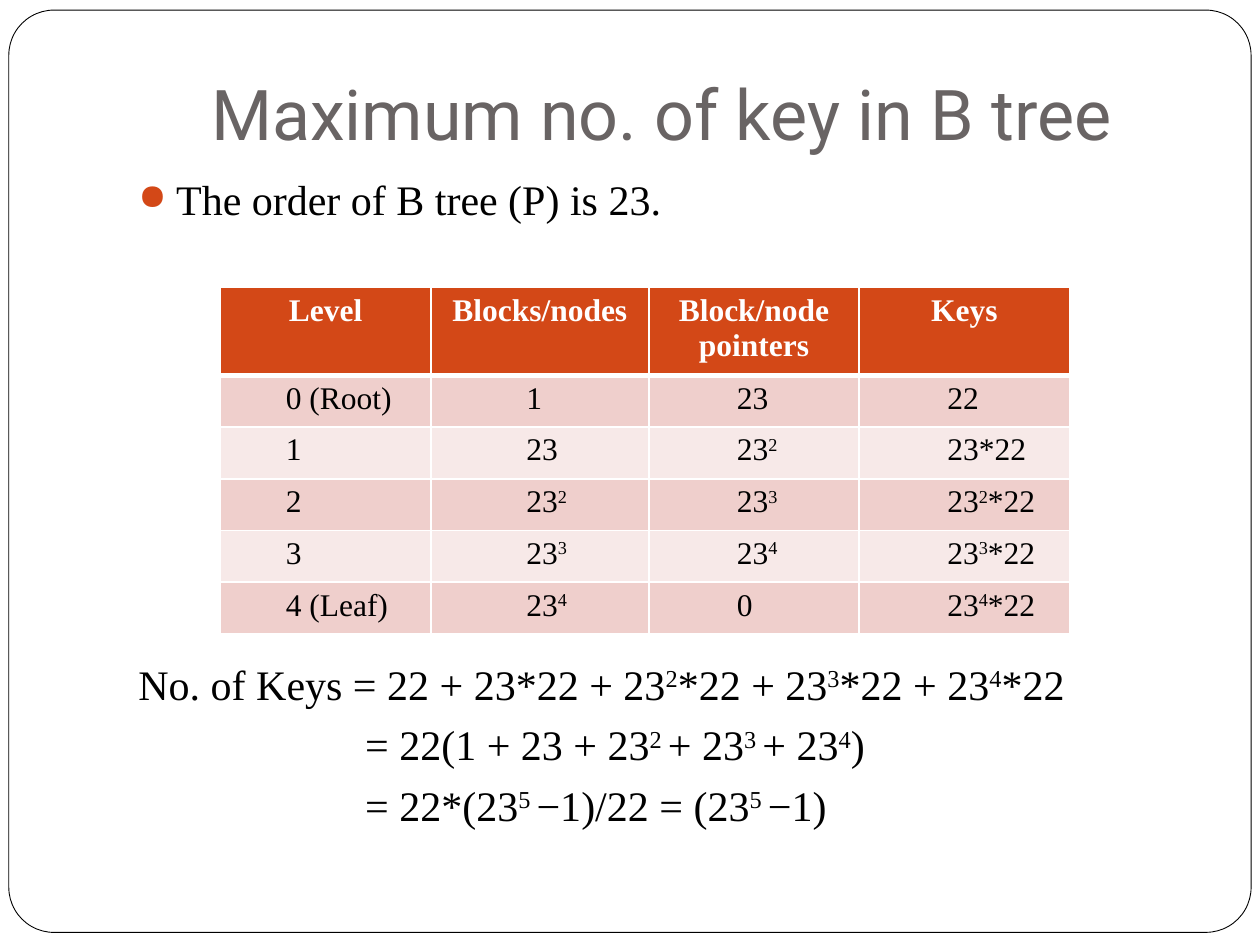
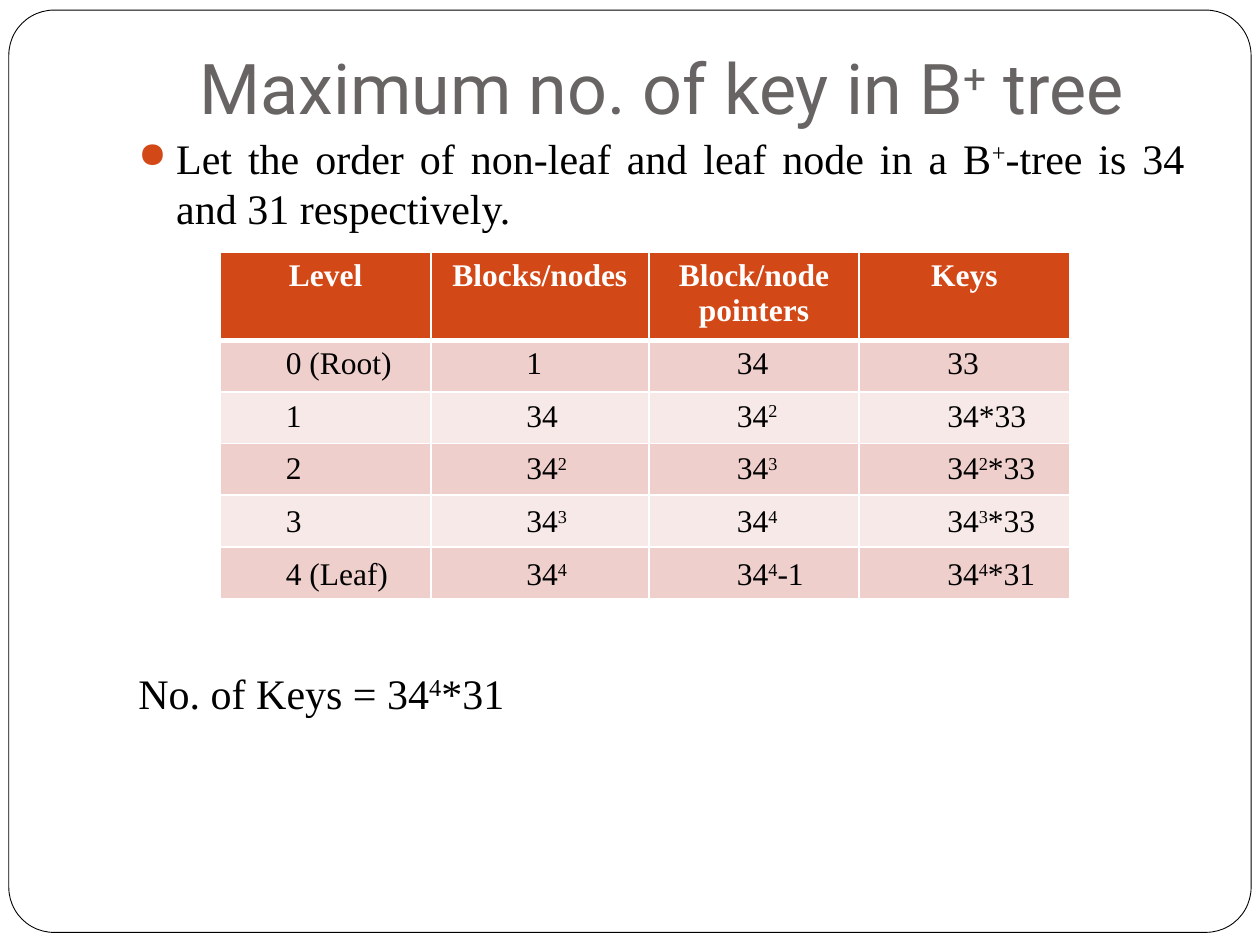
"""Build two slides that work out the largest number of keys in a B tree and a B+ tree."""

from dataclasses import dataclass
from itertools import product

from lxml.etree import SubElement
from pptx import Presentation
from pptx.dml.color import RGBColor
from pptx.enum.shapes import MSO_SHAPE
from pptx.enum.text import MSO_ANCHOR, MSO_AUTO_SIZE, PP_ALIGN
from pptx.oxml.ns import qn
from pptx.util import Inches, Pt

HEADERS = ("Level", "Blocks/nodes", "Block/node pointers", "Keys")

SLIDES = (
    {
        "title": "Maximum no. of key in B tree",
        "title_box": (1, 0.3, 8.5, 1.03),
        "body_box": (1, 1.33, 8.5, 5.92),
        "table_top": 2.28,
        "value_pitch": 0.41,
        "premise": "The order of B tree (P) is 23.",
        "levels": (
            ("0 (Root)", "1", "23", "22"),
            ("1", "23", "23^2", "23*22"),
            ("2", "23^2", "23^3", "23^2^*22"),
            ("3", "23^3", "23^4", "23^3^*22"),
            ("4 (Leaf)", "23^4", "0", "23^4^*22"),
        ),
        "result": "No. of Keys = 22 + 23*22 + 23^2^*22 + 23^3^*22 + 23^4^*22",
        "steps": (
            "= 22(1 + 23 + 23^2 ^+ 23^3 ^+ 23^4^)",
            "= 22*(23^5 ^−1)/22 = (23^5 ^−1)",
        ),
    },
    {
        "title": "Maximum no. of key in B^+^ tree",
        "title_box": (1, 0.25, 8.5, 0.87),
        "body_box": (1, 1, 8.5, 6.25),
        "table_top": 2,
        "value_pitch": 0.42,
        "premise": "Let the order of non-leaf and leaf node in a B^+^-tree is 34 and 31 respectively.",
        "levels": (
            ("0 (Root)", "1", "34", "33"),
            ("1", "34", "34^2", "34*33"),
            ("2", "34^2", "34^3", "34^2^*33"),
            ("3", "34^3", "34^4", "34^3^*33"),
            ("4 (Leaf)", "34^4", "34^4^-1", "34^4^*31"),
        ),
        "result": "No. of Keys = 34^4^*31",
        "steps": (),
    },
)

FRAME_BOX = (0.07, 0.08, 9.86, 7.32)
TABLE_LEFT, TABLE_HEIGHT, ROW_HEIGHT = 1.75, 2.73, 0.41
COLUMN_WIDTHS = (1.67, 1.73, 1.67, 1.67)
VALUE_LEFTS = (2.17, 4.08, 5.75, 7.42)
VALUE_SIZE = (1.25, 0.4)
HEADER_DEPTH = 0.67
HANGING, STEP_INDENT = 0.3, 1.8
LINE_GAP, TABLE_GAP = 5.8, 248


@dataclass(frozen=True)
class Theme:
    """Colours, fonts and type sizes of both slides."""

    title_font: str = "Roboto"
    text_font: str = "Times New Roman"
    title_size: int = 40
    body_size: int = 24
    table_size: int = 18
    title_colour: str = "696464"
    ink: str = "000000"
    paper: str = "FFFFFF"
    accent: str = "D34817"
    bands: tuple = ("EFCFCC", "F7E9E8")


THEME = Theme()


def inches(values):
    """Turn a sequence of numbers into lengths."""
    return [Inches(value) for value in values]


def paint(fill, colour):
    """Give a fill one solid colour."""
    fill.solid()
    fill.fore_color.rgb = RGBColor.from_string(colour)


def write(paragraph, text, size, colour=THEME.ink, font=THEME.text_font, bold=False):
    """Add text run by run, raising every part between carets."""
    for index, part in enumerate(text.split("^")):
        if not part:
            continue
        run = paragraph.add_run()
        run.text = part
        run.font.name, run.font.size, run.font.bold = font, Pt(size), bold
        run.font.color.rgb = RGBColor.from_string(colour)
        if index % 2:
            run._r.get_or_add_rPr().set("baseline", "30000")


def add_frame(slide):
    """Draw the rounded border behind the title."""
    frame = slide.shapes.add_shape(MSO_SHAPE.ROUNDED_RECTANGLE, *inches(FRAME_BOX))
    frame.adjustments[0] = 0.049
    frame.shadow.inherit = False
    paint(frame.fill, THEME.paper)
    paint(frame.line.fill, THEME.ink)
    frame.line.width = Pt(0.5)
    slide.shapes.title.element.addprevious(frame.element)


def set_title(slide, text, box):
    """Place and format the title."""
    title = slide.shapes.title
    title.left, title.top, title.width, title.height = inches(box)
    text_frame = title.text_frame
    text_frame.auto_size = MSO_AUTO_SIZE.NONE
    text_frame.vertical_anchor = MSO_ANCHOR.BOTTOM
    text_frame.margin_bottom = Inches(0.1)
    paragraph = text_frame.paragraphs[0]
    paragraph.alignment = PP_ALIGN.CENTER
    write(paragraph, text, THEME.title_size, THEME.title_colour, THEME.title_font)


def add_text_box(slide, box):
    """Add a wrapping text box and return its text frame."""
    text_frame = slide.shapes.add_textbox(*inches(box)).text_frame
    text_frame.word_wrap = True
    return text_frame


def write_line(paragraph, text, gap, margin, indent):
    """Write one justified body line."""
    paragraph.alignment = PP_ALIGN.JUSTIFY
    paragraph.space_before = Pt(gap)
    properties = paragraph._p.get_or_add_pPr()
    properties.set("marL", str(Inches(margin)))
    properties.set("indent", str(Inches(indent)))
    write(paragraph, text, THEME.body_size)


def add_bullet(paragraph):
    """Put a coloured dot before a paragraph."""
    properties = paragraph._p.get_or_add_pPr()
    colour = SubElement(properties, qn("a:buClr"))
    SubElement(colour, qn("a:srgbClr"), val=THEME.accent)
    SubElement(properties, qn("a:buSzPct"), val="85000")
    SubElement(properties, qn("a:buChar"), char="●")


def add_body(slide, content):
    """Write the premise above the table and the calculation below it."""
    text_frame = add_text_box(slide, content["body_box"])
    premise = text_frame.paragraphs[0]
    write_line(premise, content["premise"], LINE_GAP, HANGING, -HANGING)
    add_bullet(premise)
    write_line(text_frame.add_paragraph(), content["result"], TABLE_GAP, HANGING, -HANGING)
    for step in content["steps"]:
        write_line(text_frame.add_paragraph(), step, LINE_GAP, STEP_INDENT, 0)


def style_cell(cell, colour, bottom_width):
    """Give a cell white borders and a fill."""
    properties = cell._tc.get_or_add_tcPr()
    for side, width in (("L", 1), ("R", 1), ("T", 1), ("B", bottom_width)):
        border = SubElement(properties, qn(f"a:ln{side}"), w=str(Pt(width)))
        fill = SubElement(border, qn("a:solidFill"))
        SubElement(fill, qn("a:srgbClr"), val=THEME.paper)
    paint(cell.fill, colour)


def add_level_table(slide, content):
    """Draw the banded table and set the values of each level on its rows."""
    levels, top = content["levels"], content["table_top"]
    row_count, column_count = len(levels) + 1, len(HEADERS)
    box = inches((TABLE_LEFT, top, sum(COLUMN_WIDTHS), TABLE_HEIGHT))
    graphic_frame = slide.shapes.add_table(row_count, column_count, *box)
    table = graphic_frame.table
    for column, width in zip(table.columns, COLUMN_WIDTHS):
        column.width = Inches(width)
    for row in table.rows:
        row.height = Inches(ROW_HEIGHT)
    graphic_frame.height = Inches(TABLE_HEIGHT)

    for index, header in enumerate(HEADERS):
        cell = table.cell(0, index)
        style_cell(cell, THEME.accent, 3)
        paragraph = cell.text_frame.paragraphs[0]
        paragraph.alignment = PP_ALIGN.CENTER
        write(paragraph, header, THEME.table_size, THEME.paper, bold=True)
    for row, column in product(range(1, row_count), range(column_count)):
        style_cell(table.cell(row, column), THEME.bands[(row - 1) % 2], 1)

    for column, left in enumerate(VALUE_LEFTS):
        for row, level in enumerate(levels):
            value_top = top + HEADER_DEPTH + row * content["value_pitch"]
            text_frame = add_text_box(slide, (left, value_top, *VALUE_SIZE))
            text_frame.auto_size = MSO_AUTO_SIZE.SHAPE_TO_FIT_TEXT
            write(text_frame.paragraphs[0], level[column], THEME.table_size)


def main():
    """Build and save the presentation."""
    presentation = Presentation()
    presentation.slide_width, presentation.slide_height = inches((10, 7.5))
    title_only = presentation.slide_layouts[5]
    for content in SLIDES:
        slide = presentation.slides.add_slide(title_only)
        add_frame(slide)
        set_title(slide, content["title"], content["title_box"])
        add_body(slide, content)
        add_level_table(slide, content)
    presentation.save("out.pptx")


if __name__ == "__main__":
    main()
